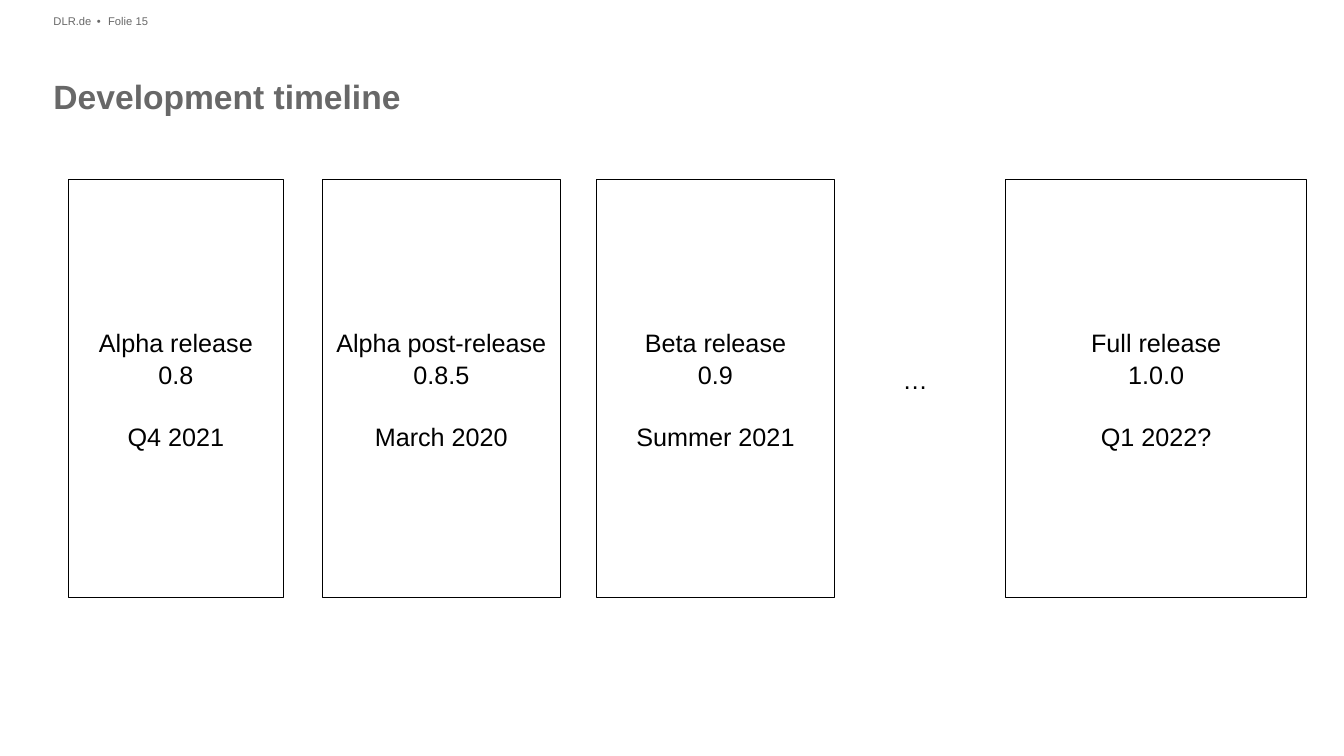
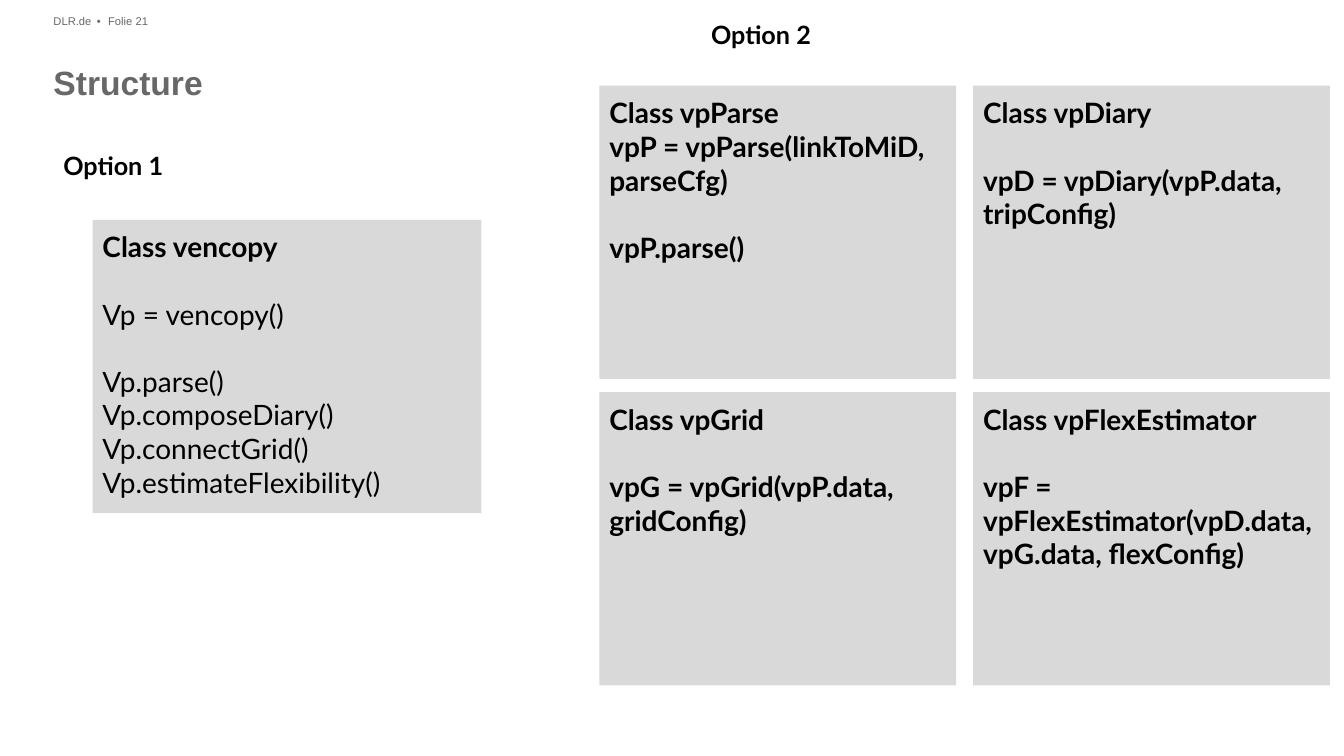
from dataclasses import dataclass

from pptx import Presentation
from pptx.dml.color import RGBColor
from pptx.enum.shapes import MSO_SHAPE
from pptx.enum.text import MSO_ANCHOR, MSO_AUTO_SIZE, PP_ALIGN
from pptx.util import Pt


@dataclass(frozen=True)
class TextStyle:
    font: str
    size: float
    color: RGBColor
    bold: bool = False
    align: PP_ALIGN = PP_ALIGN.LEFT
    line_spacing: float = 1.0
    group_gap: float = 0


class Theme:
    black = RGBColor(0x00, 0x00, 0x00)
    gray = RGBColor(0x68, 0x68, 0x68)
    panel = RGBColor(0xD9, 0xD9, 0xD9)
    outline_width = 0.75
    header = TextStyle("Arial", 8, gray)
    title = TextStyle("Arial", 24, gray, bold=True, line_spacing=1.1)
    release = TextStyle("Arial", 18, black, align=PP_ALIGN.CENTER, line_spacing=1.05, group_gap=21.7)
    ellipsis = TextStyle("Arial", 18, black, line_spacing=1.05)
    option = TextStyle("Lato", 18, black, bold=True)
    code = TextStyle("Lato", 20, black, group_gap=24)
    bold_code = TextStyle("Lato", 20, black, bold=True, group_gap=24)


SLIDE_SIZE = (960.48, 540)
MARGIN = 38.2
HEADER_BOX = (MARGIN, 10.1, 82.1, 11.5)
TITLE_SIZE = (883.4, 58.3)
NO_INSETS = (0, 0, 0, 0)
RELEASE_INSETS = (7.2, 3.6, 7.2, 3.6)
CODE_INSETS = (7.2, 7.2, 0, 3.6)

TIMELINE = {"title": "Development timeline", "folio": "Folie 15", "title_top": 51.1}
RELEASES = [
    (49, 153.4, [["Alpha release", "0.8"], ["Q4 2021"]]),
    (230.4, 170, [["Alpha post-release", "0.8.5"], ["March 2020"]]),
    (426.3, 170, [["Beta release", "0.9"], ["Summer 2021"]]),
    (718.6, 215.3, [["Full release", "1.0.0"], ["Q1 2022?"]]),
]
RELEASE_TOP, RELEASE_HEIGHT = 128.4, 298.1
ELLIPSIS_BOX = (637.9, 255.6, 32.4, 28.8)

STRUCTURE = {"title": "Structure", "folio": "Folie 21", "title_top": 41}
OPTIONS = [
    ("Option 1", (MARGIN, 103.7, 89.3, 28.8)),
    ("Option 2", (501.1, 10.1, 89.3, 28.8)),
]
SINGLE_CLASS = [
    ["Class vencopy"],
    ["Vp = vencopy()"],
    ["Vp.parse()", "Vp.composeDiary()", "Vp.connectGrid()", "Vp.estimateFlexibility()"],
]
CLASS_GRID = [
    [["Class vpParse", "vpP = vpParse(linkToMiD, parseCfg)"], ["vpP.parse()"]],
    [["Class vpDiary"], ["vpD = vpDiary(vpP.data, tripConfig)"]],
    [["Class vpGrid"], ["vpG = vpGrid(vpP.data, gridConfig)"]],
    [["Class vpFlexEstimator"], ["vpF = vpFlexEstimator(vpD.data, vpG.data, flexConfig)"]],
]
PANEL_HEIGHT = 209.5
SINGLE_BOX = (66.2, 157, 277.9, PANEL_HEIGHT)
GRID_LEFT, GRID_TOP = 428.4, 61.2
GRID_WIDTH, GRID_COLUMNS = 254.9, 2
COLUMN_GAP, ROW_GAP = 12.2, 9.4


def points(values):
    return [Pt(value) for value in values]


def set_insets(frame, insets):
    frame.margin_left, frame.margin_top, frame.margin_right, frame.margin_bottom = points(insets)


def style_paragraph(para, style):
    para.alignment = style.align
    para.line_spacing = style.line_spacing
    para.space_before = para.space_after = Pt(0)
    for span in para.runs:
        span.font.name = style.font
        span.font.size = Pt(style.size)
        span.font.bold = style.bold
        span.font.color.rgb = style.color


def write_groups(frame, groups, style):
    frame.text = "\n".join(line for group in groups for line in group)
    for para in frame.paragraphs:
        style_paragraph(para, style)
    start = 0
    for group in groups[:-1]:
        start += len(group)
        frame.paragraphs[start].space_before = Pt(style.group_gap)


def add_label(page, box, text, style):
    frame = page.shapes.add_textbox(*points(box)).text_frame
    frame.word_wrap = False
    frame.auto_size = MSO_AUTO_SIZE.SHAPE_TO_FIT_TEXT
    write_groups(frame, [[text]], style)


def add_rectangle(page, box, groups, style, insets, anchor):
    rectangle = page.shapes.add_shape(MSO_SHAPE.RECTANGLE, *points(box))
    rectangle.shadow.inherit = False
    frame = rectangle.text_frame
    frame.word_wrap = True
    frame.vertical_anchor = anchor
    set_insets(frame, insets)
    write_groups(frame, groups, style)
    return rectangle


def add_release(page, box, groups):
    rectangle = add_rectangle(page, box, groups, Theme.release, RELEASE_INSETS, MSO_ANCHOR.MIDDLE)
    rectangle.fill.background()
    rectangle.line.color.rgb = Theme.black
    rectangle.line.width = Pt(Theme.outline_width)


def add_class_panel(page, box, groups, style):
    panel = add_rectangle(page, box, groups, style, CODE_INSETS, MSO_ANCHOR.TOP)
    panel.fill.solid()
    panel.fill.fore_color.rgb = Theme.panel
    panel.line.fill.background()
    return panel


def add_header(page, folio):
    frame = page.shapes.add_textbox(*points(HEADER_BOX)).text_frame
    frame.word_wrap = False
    set_insets(frame, NO_INSETS)
    para = frame.paragraphs[0]
    for text in ("DLR.de", " • ", folio):
        para.add_run().text = text
    style_paragraph(para, Theme.header)
    para.runs[1].font._element.set("spc", "150")


def add_page(deck, content):
    page = deck.slides.add_slide(deck.slide_layouts.get_by_name("Title Only"))
    add_header(page, content["folio"])
    title = page.shapes.title
    title.left, title.top = points((MARGIN, content["title_top"]))
    title.width, title.height = points(TITLE_SIZE)
    frame = title.text_frame
    frame.auto_size = MSO_AUTO_SIZE.NONE
    frame.vertical_anchor = MSO_ANCHOR.TOP
    set_insets(frame, NO_INSETS)
    write_groups(frame, [[content["title"]]], Theme.title)
    return page


def build_timeline(deck):
    page = add_page(deck, TIMELINE)
    for left, width, groups in RELEASES:
        add_release(page, (left, RELEASE_TOP, width, RELEASE_HEIGHT), groups)
    add_label(page, ELLIPSIS_BOX, "…", Theme.ellipsis)


def build_structure(deck):
    page = add_page(deck, STRUCTURE)
    for text, box in OPTIONS:
        add_label(page, box, text, Theme.option)
    single = add_class_panel(page, SINGLE_BOX, SINGLE_CLASS, Theme.code)
    single.text_frame.paragraphs[0].runs[0].font.bold = True
    for index, groups in enumerate(CLASS_GRID):
        row, column = divmod(index, GRID_COLUMNS)
        left = GRID_LEFT + column * (GRID_WIDTH + COLUMN_GAP)
        top = GRID_TOP + row * (PANEL_HEIGHT + ROW_GAP)
        add_class_panel(page, (left, top, GRID_WIDTH, PANEL_HEIGHT), groups, Theme.bold_code)


def main():
    deck = Presentation()
    deck.slide_width, deck.slide_height = points(SLIDE_SIZE)
    build_timeline(deck)
    build_structure(deck)
    deck.save("out.pptx")


if __name__ == "__main__":
    main()
